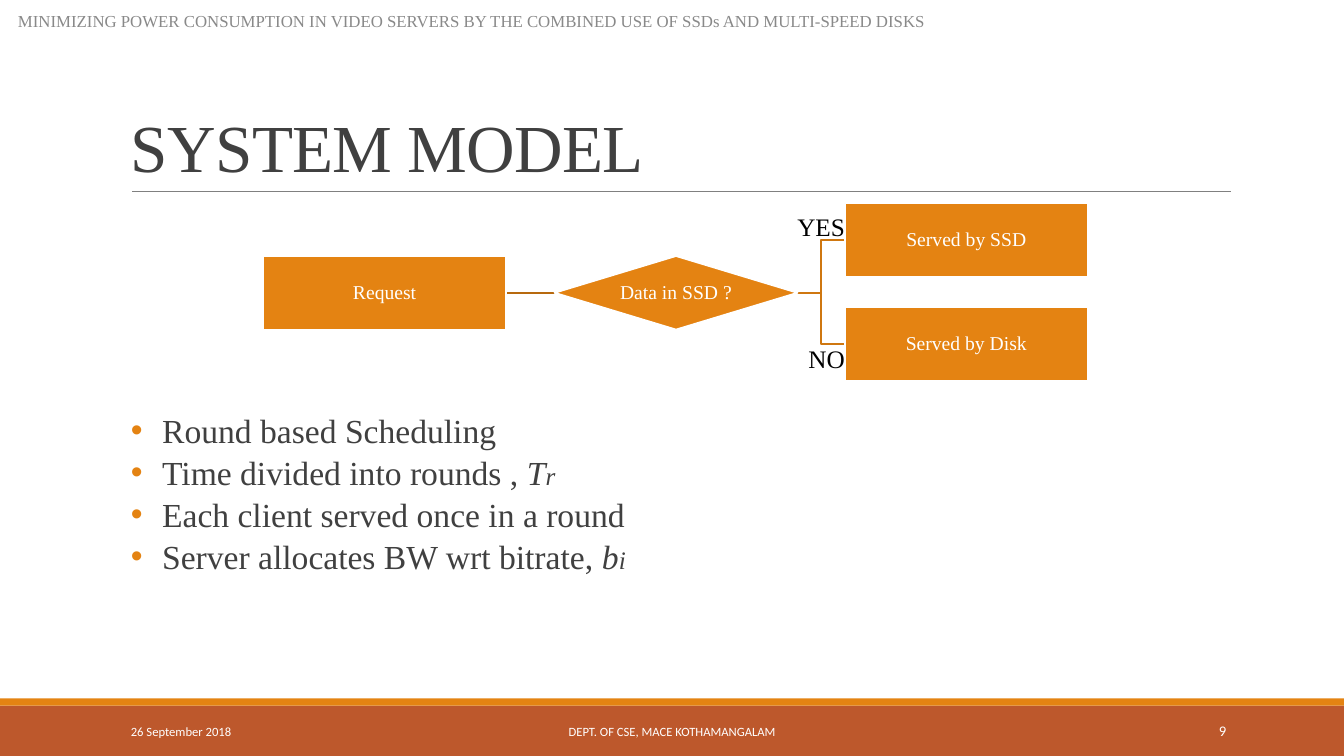
from dataclasses import dataclass

from lxml import etree
from pptx import Presentation
from pptx import util as u
from pptx.dml.color import RGBColor
from pptx.enum import shapes, text
from pptx.oxml.ns import qn
from pptx.shapes.base import BaseShape
from pptx.shapes.connector import Connector
from pptx.slide import Slide


@dataclass(frozen=True)
class Theme:
    serif: str = "Times New Roman"
    sans: str = "Calibri"
    orange: str = "E48312"
    rust: str = "BD582C"
    branch: str = "CF7710"
    link: str = "B7690E"
    ink: str = "404040"
    rule: str = "808080"
    muted: str = "898989"
    white: str = "FFFFFF"
    black: str = "000000"
    title: float = 48
    body: float = 24
    subscript: float = 18
    answer: float = 18
    node: float = 14
    header: float = 12
    number: float = 10.5
    footer: float = 9


THEME = Theme()
LEFT, CENTER, RIGHT = text.PP_ALIGN.LEFT, text.PP_ALIGN.CENTER, text.PP_ALIGN.RIGHT
TOP, MIDDLE, BOTTOM = text.MSO_ANCHOR.TOP, text.MSO_ANCHOR.MIDDLE, text.MSO_ANCHOR.BOTTOM
RECTANGLE, DIAMOND = shapes.MSO_SHAPE.RECTANGLE, shapes.MSO_SHAPE.DIAMOND
STRAIGHT, ELBOW = shapes.MSO_CONNECTOR.STRAIGHT, shapes.MSO_CONNECTOR.ELBOW
NODE_WIDTH, NODE_HEIGHT = 2.41, 0.73


@dataclass(frozen=True)
class Label:
    words: str
    left: float
    top: float
    width: float
    height: float
    size: float
    color: str
    font: str = THEME.serif
    align: text.PP_ALIGN = LEFT
    anchor: text.MSO_ANCHOR = TOP
    spacing: float = 1.0


@dataclass(frozen=True)
class Node:
    words: str
    left: float
    top: float
    kind: shapes.MSO_SHAPE = RECTANGLE

    @property
    def middle(self) -> float:
        return self.top + NODE_HEIGHT / 2

    @property
    def right(self) -> float:
        return self.left + NODE_WIDTH


@dataclass(frozen=True)
class Bullet:
    words: str
    symbol: str = ""
    index: str = ""


REQUEST = Node("Request", 2.61, 2.54)
QUESTION = Node("Data in SSD ?", 5.5, 2.54, DIAMOND)
SSD = Node("Served by SSD", 8.38, 2.02)
DISK = Node("Served by Disk", 8.38, 3.05)

LABELS = [
    Label("MINIMIZING POWER CONSUMPTION IN VIDEO SERVERS BY THE COMBINED USE OF "
          "SSDs AND MULTI-SPEED DISKS", 0.08, 0.06, 9.43, 0.5, THEME.header, THEME.muted),
    Label("YES", 7.81, 2.05, 1, 0.4, THEME.answer, THEME.black),
    Label("NO", 7.92, 3.36, 1, 0.4, THEME.answer, THEME.black),
    Label("26 September 2018", 1.2, 7.06, 2.7, 0.4, THEME.footer, THEME.white,
          THEME.sans, LEFT, MIDDLE),
    Label("DEPT. OF CSE, MACE KOTHAMANGALAM", 4.03, 7.06, 5.27, 0.4, THEME.footer,
          THEME.white, THEME.sans, CENTER, MIDDLE),
    Label("9", 10.83, 7.05, 1.43, 0.4, THEME.number, THEME.white, THEME.sans, RIGHT, MIDDLE),
]
TITLE = Label("SYSTEM MODEL", 1.2, 0.31, 11, 1.59, THEME.title, THEME.ink,
              anchor=BOTTOM, spacing=0.85)
BULLETS = [
    Bullet("Round based Scheduling"),
    Bullet("Time divided into rounds , ", "T", "r"),
    Bullet("Each client served once in a round"),
    Bullet("Server allocates BW wrt bitrate, ", "b", "i"),
]


def rgb(value: str) -> RGBColor:
    return RGBColor.from_string(value)


def style(font: text, name: str, size: float, color: str) -> None:
    font.name, font.size = name, u.Pt(size)
    font.color.rgb = rgb(color)


def add_block(page: Slide, kind: shapes.MSO_SHAPE, left: float, top: float,
              width: float, height: float, fill: str) -> BaseShape:
    block = page.shapes.add_shape(kind, *map(u.Inches, (left, top, width, height)))
    block.shadow.inherit = False
    block.fill.solid()
    block.fill.fore_color.rgb = rgb(fill)
    block.line.fill.background()
    return block


def add_line(page: Slide, kind: shapes.MSO_CONNECTOR, start: tuple[float, float],
             end: tuple[float, float], color: str, width: float) -> Connector:
    line = page.shapes.add_connector(kind, *map(u.Inches, (*start, *end)))
    line.line.color.rgb = rgb(color)
    line.line.width = u.Pt(width)
    etree.SubElement(line._element.spPr, qn("a:effectLst"))
    return line


def add_label(page: Slide, label: Label) -> BaseShape:
    box = page.shapes.add_textbox(
        *map(u.Inches, (label.left, label.top, label.width, label.height)))
    frame = box.text_frame
    frame.word_wrap, frame.vertical_anchor = True, label.anchor
    para = frame.paragraphs[0]
    para.text, para.alignment, para.line_spacing = label.words, label.align, label.spacing
    style(para.font, label.font, label.size, label.color)
    return box


def add_node(page: Slide, node: Node) -> None:
    block = add_block(page, node.kind, node.left, node.top, NODE_WIDTH, NODE_HEIGHT, THEME.orange)
    block.line.color.rgb = rgb(THEME.white)
    block.line.width = u.Pt(1.25)
    frame = block.text_frame
    frame.margin_left = frame.margin_right = frame.margin_top = frame.margin_bottom = u.Inches(0.01)
    frame.vertical_anchor = MIDDLE
    para = frame.paragraphs[0]
    para.text, para.alignment, para.line_spacing = node.words, CENTER, 0.9
    style(para.font, THEME.serif, THEME.node, THEME.white)


def add_bullets(page: Slide, bullets: list[Bullet]) -> None:
    box = page.shapes.add_textbox(*map(u.Inches, (1.2, 4, 11, 2.46)))
    frame = box.text_frame
    frame.word_wrap = True
    for position, bullet in enumerate(bullets):
        para = frame.add_paragraph() if position else frame.paragraphs[0]
        para.line_spacing = 1.04
        properties = para._p.get_or_add_pPr()
        properties.set("marL", str(u.Inches(0.31)))
        properties.set("indent", str(-u.Inches(0.31)))
        bullet_color = etree.SubElement(properties, qn("a:buClr"))
        etree.SubElement(bullet_color, qn("a:srgbClr"), val=THEME.orange)
        etree.SubElement(properties, qn("a:buFont"), typeface="Arial")
        etree.SubElement(properties, qn("a:buChar"), char="•")
        style(para.font, THEME.serif, THEME.body, THEME.ink)
        para.add_run().text = bullet.words
        if bullet.symbol:
            for words, size in ((bullet.symbol, THEME.body), (bullet.index, THEME.subscript)):
                span = para.add_run()
                span.text, span.font.italic, span.font.size = words, True, u.Pt(size)


def main() -> None:
    deck = Presentation()
    deck.slide_width, deck.slide_height = u.Inches(13.33), u.Inches(7.5)
    page = deck.slides.add_slide(deck.slide_layouts[6])

    # Footer bands and title
    add_block(page, RECTANGLE, 0, 7, 13.33, 0.5, THEME.rust)
    add_block(page, RECTANGLE, 0, 6.93, 13.33, 0.07, THEME.orange)
    add_line(page, STRAIGHT, (1.31, 1.9), (12.21, 1.9), THEME.rule, 0.5)
    title = add_label(page, TITLE)
    title.text_frame.paragraphs[0].runs[0]._r.get_or_add_rPr().set("spc", "-50")

    # Decision flow
    for target in (DISK, SSD):
        add_line(page, ELBOW, (QUESTION.right, QUESTION.middle),
                 (target.left, target.middle), THEME.branch, 1.25)
    add_line(page, STRAIGHT, (REQUEST.right, REQUEST.middle),
             (QUESTION.left, QUESTION.middle), THEME.link, 1.25)
    for node in (REQUEST, QUESTION, SSD, DISK):
        add_node(page, node)

    # Header, answers, footer and bullets
    for label in LABELS:
        add_label(page, label)
    add_bullets(page, BULLETS)
    deck.save("out.pptx")


if __name__ == "__main__":
    main()
